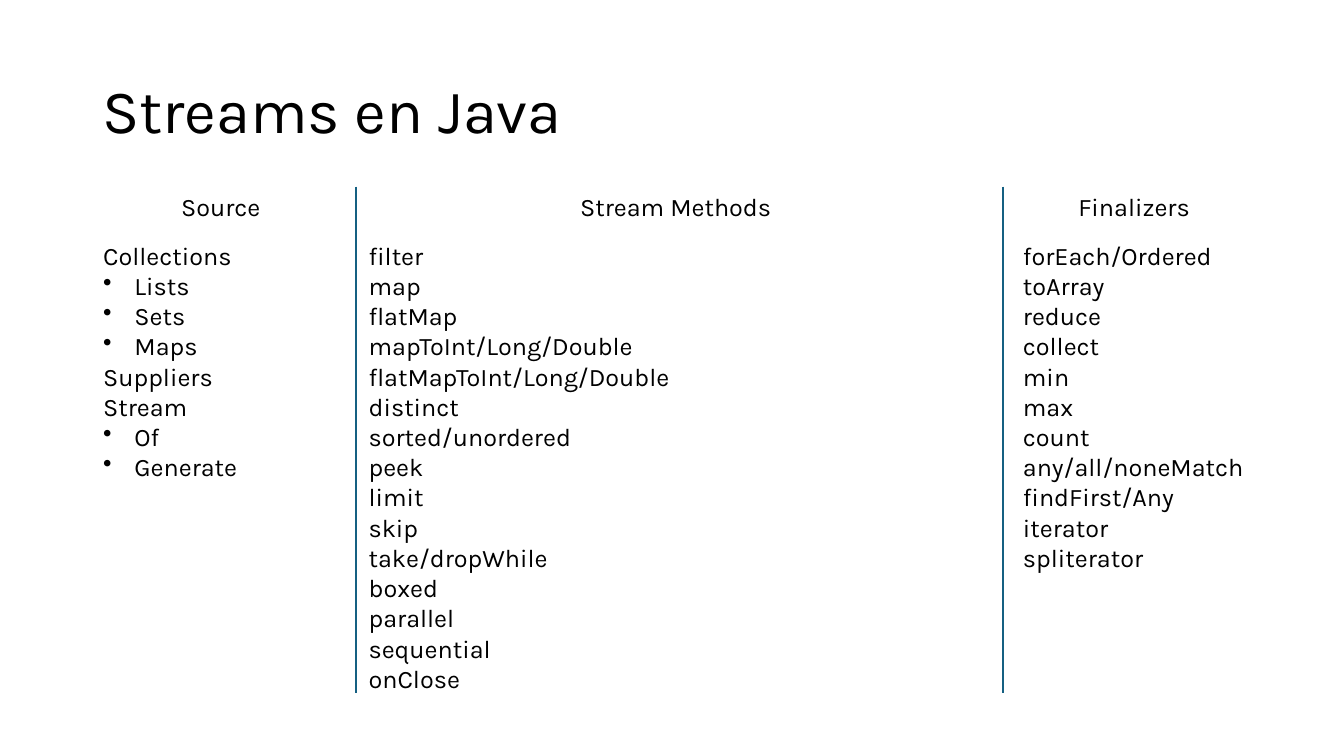
from lxml import etree
from pptx import Presentation
from pptx.dml.color import RGBColor
from pptx.enum.shapes import MSO_CONNECTOR
from pptx.enum.text import MSO_ANCHOR, PP_ALIGN
from pptx.oxml.ns import qn
from pptx.util import Cm, Pt

STRAIGHT = MSO_CONNECTOR.STRAIGHT
TOP, MIDDLE = MSO_ANCHOR.TOP, MSO_ANCHOR.MIDDLE
LEFT, CENTER = PP_ALIGN.LEFT, PP_ALIGN.CENTER
BLACK = RGBColor(0x00, 0x00, 0x00)
BLUE = RGBColor(0x15, 0x60, 0x82)

HEADER_TOP, HEADER_HEIGHT = 4.7, 1.02
LIST_TOP = 5.92
DIVIDER_BOTTOM = 17.45
DIVIDERS = (8.97, 25.27)
BULLET = "• "

COLUMNS = [
    (2.35, 6.43, 6.4, "Source", [
        "Collections", "• Lists", "• Sets", "• Maps",
        "Suppliers", "Stream", "• Of", "• Generate",
    ]),
    (9.04, 15.98, 11.79, "Stream Methods", [
        "filter", "map", "flatMap", "mapToInt/Long/Double",
        "flatMapToInt/Long/Double", "distinct", "sorted/unordered",
        "peek", "limit", "skip", "take/dropWhile", "boxed",
        "parallel", "sequential", "onClose",
    ]),
    (25.53, 6.1, 8.71, "Finalizers", [
        "forEach/Ordered", "toArray", "reduce", "collect", "min", "max",
        "count", "any/all/noneMatch", "findFirst/Any", "iterator",
        "spliterator",
    ]),
]


class SlideBuilder:
    """Draws titles, text columns and dividers in one style on a slide."""

    font_name = "Karla"
    text_size = Pt(18)
    title_size = Pt(44)
    indent = Cm(0.79)

    def __init__(self, slide):
        self.slide = slide

    def text(self, left, top, width, height, lines, size=None, align=LEFT, anchor=TOP):
        box = self.slide.shapes.add_textbox(Cm(left), Cm(top), Cm(width), Cm(height))
        frame = box.text_frame
        frame.word_wrap = True
        frame.vertical_anchor = anchor
        frame.text = "\n".join(line.removeprefix(BULLET) for line in lines)
        for paragraph, line in zip(frame.paragraphs, lines):
            paragraph.alignment = align
            if line.startswith(BULLET):
                self.bullet(paragraph)
            for run in paragraph.runs:
                run.font.name = self.font_name
                run.font.size = size or self.text_size
                run.font.color.rgb = BLACK
        return frame

    def bullet(self, paragraph):
        properties = paragraph._p.get_or_add_pPr()
        properties.set("marL", str(self.indent))
        properties.set("indent", str(-self.indent))
        etree.SubElement(properties, qn("a:buChar")).set("char", BULLET.strip())

    def title(self, text):
        frame = self.text(2.33, 1.01, 29.21, 3.68, [text], self.title_size, anchor=MIDDLE)
        frame.paragraphs[0].line_spacing = 0.9

    def column(self, left, width, height, header, lines):
        self.text(left, HEADER_TOP, width, HEADER_HEIGHT, [header], align=CENTER)
        self.text(left, LIST_TOP, width, height, lines)

    def divider(self, x):
        line = self.slide.shapes.add_connector(
            STRAIGHT, Cm(x), Cm(HEADER_TOP), Cm(x), Cm(DIVIDER_BOTTOM))
        line.line.color.rgb = BLUE
        line.line.width = Pt(1.5)
        etree.SubElement(line._element.spPr, qn("a:effectLst"))


def main():
    presentation = Presentation()
    presentation.slide_width = Cm(33.87)
    presentation.slide_height = Cm(19.05)
    builder = SlideBuilder(presentation.slides.add_slide(presentation.slide_layouts[6]))
    builder.title("Streams en Java")
    for x in DIVIDERS:
        builder.divider(x)
    for column in COLUMNS:
        builder.column(*column)
    presentation.save("out.pptx")


if __name__ == "__main__":
    main()
